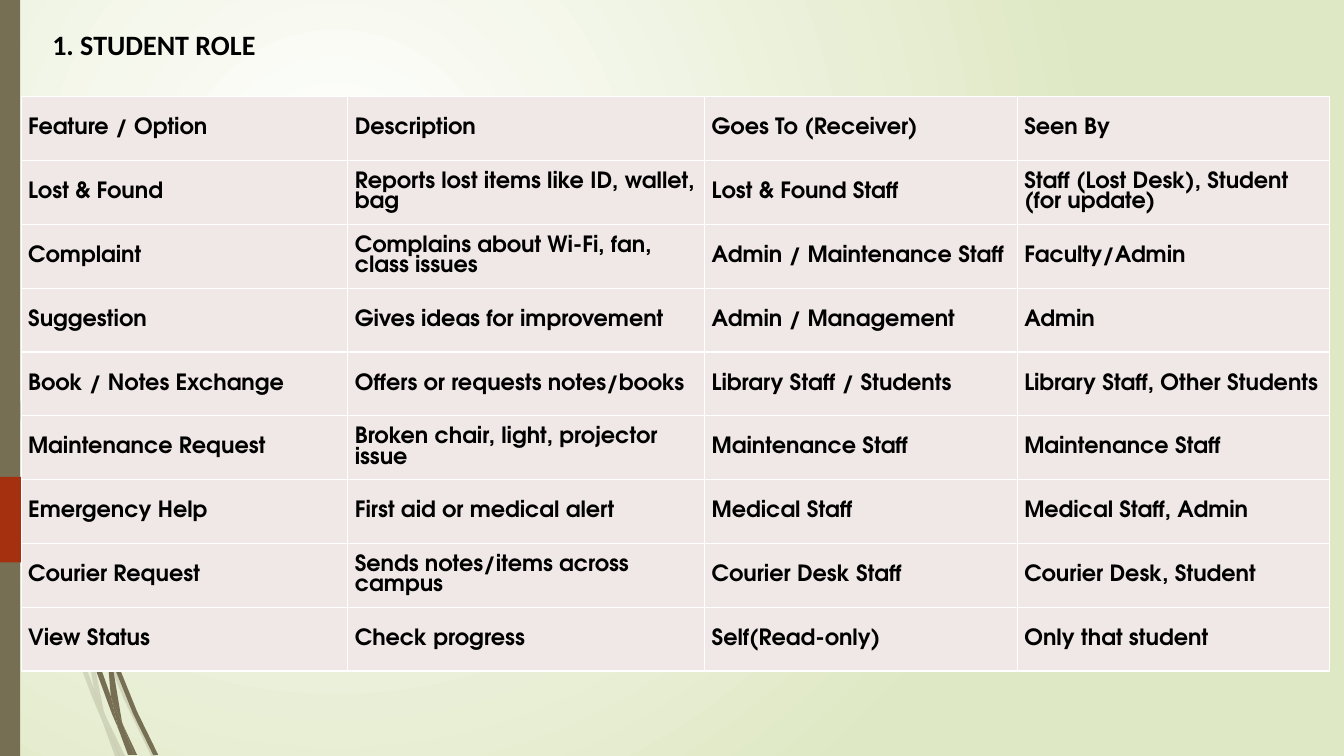
import pptx
import pptx.dml.color
import pptx.enum.shapes
import pptx.enum.text
import pptx.oxml.ns
import pptx.util
from lxml import etree

Inches, Pt = pptx.util.Inches, pptx.util.Pt
RGBColor = pptx.dml.color.RGBColor
qn = pptx.oxml.ns.qn

BLACK = RGBColor(0x00, 0x00, 0x00)
WHITE = RGBColor(0xFF, 0xFF, 0xFF)
LIME = RGBColor(0xDF, 0xE8, 0xC4)
OLIVE = RGBColor(0x76, 0x6F, 0x54)
RUST = RGBColor(0xA5, 0x30, 0x10)
BLUSH = RGBColor(0xF0, 0xE8, 0xE7)

# Grass stems that rise from the bottom edge
PALE = [
    [(0.92, 6.07), (0.88, 5.96), (0.88, 6.1), (1.23, 6.94), (1.5, 7.5),
     (1.55, 7.5), (1.27, 6.92)],
    [(1.19, 7.5), (1.24, 7.5), (1.05, 7.11)],
    [(0.93, 6.83), (0.7, 6.19), (0.31, 4.69), (0.17, 3.76), (0.11, 3.5),
     (0.28, 4.7), (0.65, 6.21), (0.92, 6.93), (1.01, 7.14), (0.99, 7.07)],
    [(0.84, 5.99), (0.87, 6.46), (0.93, 6.83), (0.96, 6.92), (1.05, 7.11),
     (1.03, 7.06), (0.91, 6.46), (0.88, 6.1), (0.88, 6.08)],
    [(1.01, 7.14), (1.14, 7.5), (1.19, 7.5)],
    [(0.96, 6.92), (0.93, 6.83), (0.99, 7.07), (1.01, 7.14), (1.19, 7.5),
     (1.05, 7.11)],
]
DARK = [
    [(1.13, 6.49), (1.1, 6.41), (1.11, 6.56), (1.32, 7.08), (1.52, 7.49),
     (1.57, 7.49), (1.36, 7.06)],
    [(1.1, 6.91), (0.98, 6.57), (0.72, 5.56), (0.64, 5.05), (0.57, 4.77),
     (0.68, 5.57), (0.93, 6.59), (1.11, 7.08), (1.17, 7.22), (1.16, 7.17)],
    [(1.33, 7.49), (1.36, 7.49), (1.22, 7.19)],
    [(1.17, 7.22), (1.27, 7.49), (1.31, 7.49)],
    [(1.06, 6.45), (1.1, 6.91), (1.16, 7.06), (1.22, 7.19), (1.21, 7.16),
     (1.11, 6.56), (1.09, 6.51)],
    [(1.16, 7.06), (1.1, 6.91), (1.16, 7.17), (1.17, 7.22), (1.3, 7.49),
     (1.33, 7.49), (1.22, 7.19)],
]
ARROW = [(0, 4.73), (1.47, 4.73), (1.51, 4.74), (1.9, 5.13), (1.9, 5.17),
         (1.51, 5.56), (1.47, 5.58), (0, 5.58)]

COLS = [3.24, 3.54, 3.1, 3.1]
ROWS = [
    ("Feature / Option", "Description", "Goes To (Receiver)", "Seen By"),
    ("Lost & Found", "Reports lost items like ID, wallet, bag",
     "Lost & Found Staff", "Staff (Lost Desk), Student (for update)"),
    ("Complaint", "Complains about Wi-Fi, fan, class issues",
     "Admin / Maintenance Staff", "Faculty/Admin"),
    ("Suggestion", "Gives ideas for improvement", "Admin / Management",
     "Admin"),
    ("Book / Notes Exchange", "Offers or requests notes/books",
     "Library Staff / Students", "Library Staff, Other Students"),
    ("Maintenance Request", "Broken chair, light, projector issue",
     "Maintenance Staff", "Maintenance Staff"),
    ("Emergency Help", "First aid or medical alert", "Medical Staff",
     "Medical Staff, Admin"),
    ("Courier Request", "Sends notes/items across campus",
     "Courier Desk Staff", "Courier Desk, Student"),
    ("View Status", "Check progress", "Self(Read-only)",
     "Only that student"),
]


class Deck:
    head = "Calibri"
    body = "TeX Gyre Adventor"

    def __init__(self, slide):
        self.slide = slide
        self.shapes = slide.shapes

    def back(self, inner, outer):
        fill = self.slide.background.fill
        fill.gradient()
        for stop, color in zip(fill.gradient_stops, (inner, outer)):
            stop.color.rgb = color
        grad = self.slide.element.find(".//" + qn("a:gradFill"))
        grad.remove(grad.find(qn("a:lin")))
        ring = etree.SubElement(grad, qn("a:path"), {"path": "circle"})
        etree.SubElement(ring, qn("a:fillToRect"), {
            "l": "50000", "t": "50000", "r": "100000", "b": "100000"})

    def paint(self, shape, color, alpha=100):
        shape.shadow.inherit = False
        shape.fill.solid()
        shape.fill.fore_color.rgb = color
        shape.line.fill.background()
        if alpha < 100:
            tone = shape.element.spPr.find(".//" + qn("a:srgbClr"))
            etree.SubElement(tone, qn("a:alpha"), val=str(alpha * 1000))

    def bar(self, x, y, w, h, color):
        kind = pptx.enum.shapes.MSO_SHAPE.RECTANGLE
        box = self.shapes.add_shape(
            kind, Inches(x), Inches(y), Inches(w), Inches(h))
        self.paint(box, color)

    def outline(self, points, color, alpha=100):
        spots = [(Inches(x), Inches(y)) for x, y in points]
        form = self.shapes.build_freeform(*spots[0])
        form.add_line_segments(spots[1:], close=True)
        self.paint(form.convert_to_shape(), color, alpha)

    def label(self, frame, text, size, font):
        run = frame.paragraphs[0].add_run()
        run.text = text
        run.font.size = Pt(size)
        run.font.name = font
        run.font.bold = True
        run.font.color.rgb = BLACK

    def title(self, x, y, w, h, text):
        frame = self.shapes.add_textbox(
            Inches(x), Inches(y), Inches(w), Inches(h)).text_frame
        frame.word_wrap = True
        frame.vertical_anchor = pptx.enum.text.MSO_ANCHOR.TOP
        self.label(frame, text, 20, self.head)

    def border(self, cell):
        props = cell._tc.get_or_add_tcPr()
        for side in ("lnL", "lnR", "lnT", "lnB"):
            line = etree.SubElement(props, qn("a:" + side), w=str(Pt(1)))
            fill = etree.SubElement(line, qn("a:solidFill"))
            etree.SubElement(fill, qn("a:srgbClr"), val=str(WHITE))

    def table(self, x, y, h, cols, rows):
        table = self.shapes.add_table(
            len(rows), len(cols), Inches(x), Inches(y),
            Inches(sum(cols)), Inches(h)).table
        table.first_row = table.horz_banding = False
        for col, width in zip(table.columns, cols):
            col.width = Inches(width)
        for r, row in enumerate(rows):
            for c, text in enumerate(row):
                cell = table.cell(r, c)
                self.border(cell)
                cell.fill.solid()
                cell.fill.fore_color.rgb = BLUSH
                cell.vertical_anchor = pptx.enum.text.MSO_ANCHOR.MIDDLE
                cell.margin_left = cell.margin_right = Inches(0.07)
                cell.margin_top = cell.margin_bottom = Inches(0.07)
                self.label(cell.text_frame, text, 16, self.body)


def main():
    prs = pptx.Presentation()
    prs.slide_width, prs.slide_height = Inches(13.33), Inches(7.5)
    deck = Deck(prs.slides.add_slide(prs.slide_layouts[6]))

    # Backdrop: gradient, stems, side bar and arrow
    deck.back(WHITE, LIME)
    for stem in PALE:
        deck.outline(stem, OLIVE, 20)
    for stem in DARK:
        deck.outline(stem, OLIVE)
    deck.bar(0, 0, 0.2, 7.5, OLIVE)
    deck.outline(ARROW, RUST)

    # Role table and heading
    deck.table(0.21, 0.96, 5.7, COLS, ROWS)
    deck.title(0.42, 0.22, 13.91, 0.74, "1. STUDENT ROLE")

    prs.save("out.pptx")


if __name__ == "__main__":
    main()
